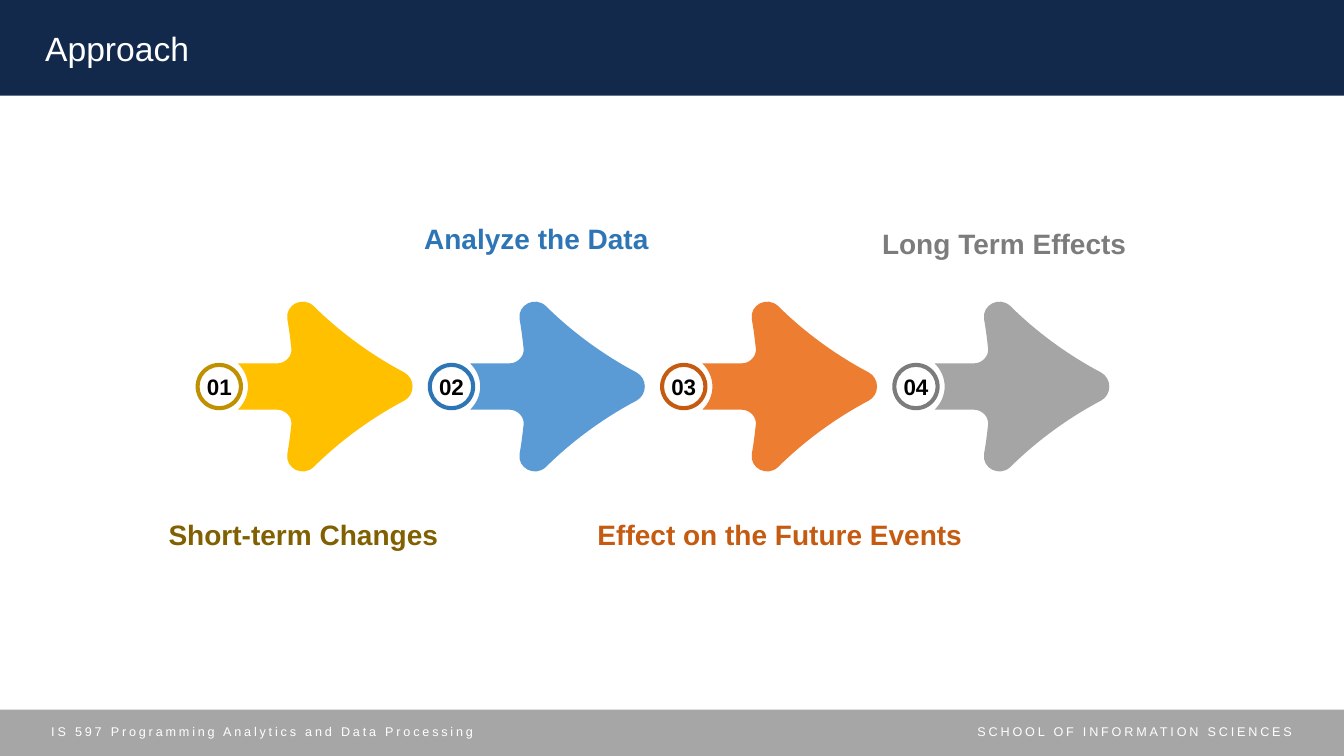
import lxml.etree
import pptx
import pptx.dml.color
import pptx.enum.shapes
import pptx.enum.text
import pptx.oxml.ns
import pptx.util

Inches = pptx.util.Inches
Align = pptx.enum.text.PP_ALIGN
Anchor = pptx.enum.text.MSO_ANCHOR
Preset = pptx.enum.shapes.MSO_SHAPE
qn = pptx.oxml.ns.qn

THEME = {
    "font": "Arial",
    "white": "FFFFFF", "black": "000000", "navy": "13294B", "footer": "A6A6A6",
    "title_size": 24, "label_size": 20, "number_size": 16, "footer_size": 9,
}

# left, top, width, height, fill
BARS = [
    (0, 7.04, 13.33, 0.46, THEME["footer"]),
    (0, 0, 13.33, 0.95, THEME["navy"]),
]
# text, box, size, alignment, letter spacing in points
BAR_TEXTS = [
    ("Approach", (0.35, 0.23, 11.93, 0.5), THEME["title_size"], Align.LEFT, 0),
    ("IS 597 Programming Analytics and Data Processing",
     (0.41, 7.13, 8.74, 0.25), THEME["footer_size"], Align.LEFT, 2),
    ("SCHOOL OF INFORMATION SCIENCES",
     (9.31, 7.13, 3.6, 0.25), THEME["footer_size"], Align.RIGHT, 2),
]
# label, label box, arrow fill, ring fill, label colour
STEPS = [
    ("Short-term Changes", (1.41, 5.08, 3.2, 0.44), "FFC000", "BF9000", "806000"),
    ("Analyze the Data", (3.72, 2.14, 3.2, 0.44), "5B9BD5", "2E75B6", "2E75B6"),
    ("Effect on the Future Events", (5.89, 5.08, 3.69, 0.44), "ED7D31", "C55A11", "C55A11"),
    ("Long Term Effects", (8.36, 2.19, 3.2, 0.44), "A5A5A5", "7C7C7C", "7C7C7C"),
]

FIRST_ARROW, LAST_ARROW = 2.36, 9.27
ARROW_PITCH = (LAST_ARROW - FIRST_ARROW) / (len(STEPS) - 1)
ARROW_WIDTH, ARROW_HEIGHT = 1.73, 1.68
SHAFT_TOP, SHAFT_BOTTOM = 3.61, 4.06
CENTRE_Y = (SHAFT_TOP + SHAFT_BOTTOM) / 2
RING_SIZE, RING_BAND, RING_OFFSET = 0.47, 0.04, -0.42

# Upper half of an arrow, from its tip to its notch, y measured from the centre line.
# Three points are a curve (two controls and an end); one point is a straight line.
TIP = (1.65, -0.14)
UPPER_HALF = [
    [(1.27, -0.34), (0.96, -0.59), (0.75, -0.8)],
    [(0.64, -0.9), (0.47, -0.81), (0.49, -0.67)],
    [(0.51, -0.56), (0.52, -0.47), (0.53, -0.38)],
    [(0.54, -0.3), (0.47, -0.23), (0.39, -0.23)],
    [(0, -0.23)],
    [(0.06, -0.17), (0.1, -0.09), (0.1, 0)],
]
TIP_CURVE = [(1.76, 0.08), (1.76, -0.08), TIP]


def arrow_segments():
    """The upper half, its mirror image walked backwards, and the rounded tip."""
    starts = [TIP] + [segment[-1] for segment in UPPER_HALF[:-1]]
    lower_half = [
        [(x, -y) for x, y in segment[-2::-1] + [start]]
        for start, segment in zip(reversed(starts), reversed(UPPER_HALF))]
    return UPPER_HALF + lower_half + [TIP_CURVE]


def rgb(value):
    return pptx.dml.color.RGBColor.from_string(value)


def paint(shape, fill):
    shape.shadow.inherit = False
    shape.fill.solid()
    shape.fill.fore_color.rgb = rgb(fill)
    shape.line.fill.background()


def add_preset(slide, preset, box, fill):
    shape = slide.shapes.add_shape(preset, *map(Inches, box))
    paint(shape, fill)
    return shape


def write(shape, text, size, color, align, bold=False, spacing=0):
    paragraph = shape.text_frame.paragraphs[0]
    paragraph.alignment = align
    run = paragraph.add_run()
    run.text = text
    run.font.name = THEME["font"]
    run.font.size = pptx.util.Pt(size)
    run.font.bold = bold
    run.font.color.rgb = rgb(color)
    if spacing:
        run._r.get_or_add_rPr().set("spc", str(spacing * 100))


def add_text_box(slide, box, anchor, side_margin):
    shape = slide.shapes.add_textbox(*map(Inches, box))
    frame = shape.text_frame
    frame.word_wrap = True
    frame.auto_size = pptx.enum.text.MSO_AUTO_SIZE.SHAPE_TO_FIT_TEXT
    frame.vertical_anchor = anchor
    frame.margin_left = frame.margin_right = Inches(side_margin)
    return shape


def curve_outline(shape, start, segments):
    """Replace the straight outline of a freeform with lines and Bézier curves."""
    outline = next(shape._element.iter(qn("a:path")))
    for child in list(outline):
        outline.remove(child)
    outline.set("w", str(shape.width))
    outline.set("h", str(shape.height))
    tags = {1: "a:lnTo", 3: "a:cubicBezTo"}
    commands = [("a:moveTo", [start])]
    commands += [(tags[len(segment)], segment) for segment in segments]
    for tag, points in commands:
        command = lxml.etree.SubElement(outline, qn(tag))
        for x, y in points:
            lxml.etree.SubElement(command, qn("a:pt"), x=str(Inches(x)),
                                  y=str(Inches(y + ARROW_HEIGHT / 2)))
    lxml.etree.SubElement(outline, qn("a:close"))


def add_arrow(slide, left, fill):
    segments = arrow_segments()
    corners = [(Inches(x), Inches(y)) for x, y in [segment[-1] for segment in segments]]
    builder = slide.shapes.build_freeform(*corners[-1])
    builder.add_line_segments(corners[:-1], close=True)
    arrow = builder.convert_to_shape()
    arrow.left, arrow.top = Inches(left), Inches(CENTRE_Y - ARROW_HEIGHT / 2)
    arrow.width, arrow.height = Inches(ARROW_WIDTH), Inches(ARROW_HEIGHT)
    curve_outline(arrow, TIP, segments)
    paint(arrow, fill)


def add_ring(slide, left, number, fill):
    box = (left, CENTRE_Y - RING_SIZE / 2, RING_SIZE, RING_SIZE)
    ring = add_preset(slide, Preset.DONUT, box, fill)
    ring.adjustments[0] = RING_BAND / RING_SIZE
    frame = ring.text_frame
    frame.word_wrap = False
    frame.vertical_anchor = Anchor.MIDDLE
    frame.margin_left = frame.margin_right = frame.margin_top = frame.margin_bottom = 0
    write(ring, number, THEME["number_size"], THEME["black"], Align.CENTER, bold=True)


def main():
    presentation = pptx.Presentation()
    presentation.slide_width = Inches(13.33)
    presentation.slide_height = Inches(7.5)
    slide = presentation.slides.add_slide(presentation.slide_layouts[6])

    for *box, fill in BARS:
        add_preset(slide, Preset.RECTANGLE, box, fill)
    for text, box, size, align, spacing in BAR_TEXTS:
        shape = add_text_box(slide, box, Anchor.TOP, 0.1)
        write(shape, text, size, THEME["white"], align, spacing=spacing)

    for index, (label, box, arrow_fill, ring_fill, label_color) in enumerate(STEPS):
        left = FIRST_ARROW + index * ARROW_PITCH
        add_arrow(slide, left, arrow_fill)
        add_ring(slide, left + RING_OFFSET, f"{index + 1:02}", ring_fill)
        shape = add_text_box(slide, box, Anchor.BOTTOM, 0)
        write(shape, label, THEME["label_size"], label_color, Align.CENTER, bold=True)

    presentation.save("out.pptx")


if __name__ == "__main__":
    main()
